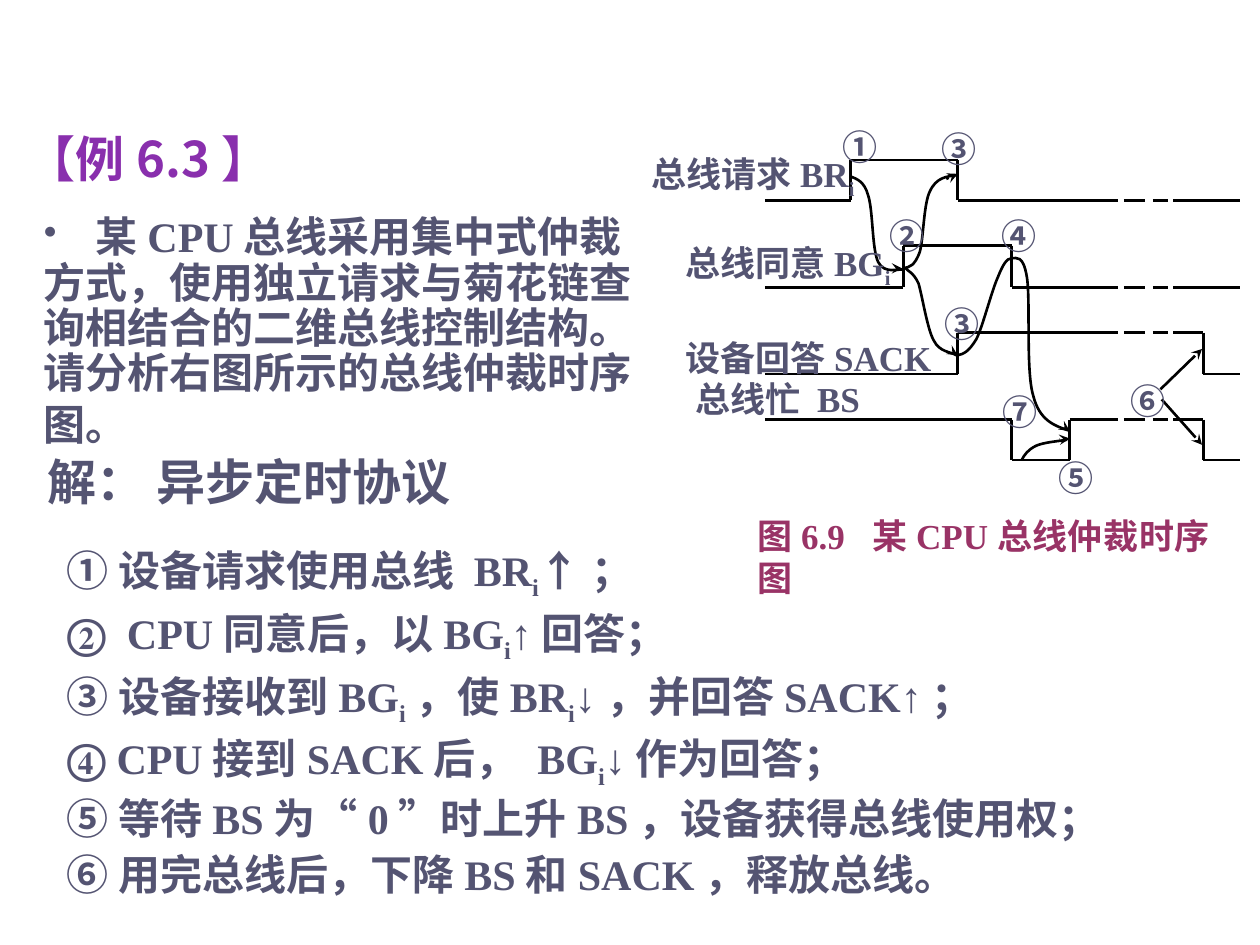
from lxml.etree import SubElement
from pptx import Presentation
from pptx.dml.color import RGBColor
from pptx.enum.dml import MSO_LINE_DASH_STYLE as Dash
from pptx.enum.shapes import MSO_CONNECTOR as Connector
from pptx.enum.text import MSO_ANCHOR as Anchor, MSO_AUTO_SIZE as AutoSize, PP_ALIGN as Align
from pptx.oxml.ns import qn
from pptx.util import Inches, Pt

INK = RGBColor(0x54, 0x54, 0x72)
PURPLE = RGBColor(0x89, 0x2F, 0xAD)
PLUM = RGBColor(0x99, 0x33, 0x66)
BLACK = RGBColor(0, 0, 0)
SANS, SERIF, LATIN = "Noto Sans CJK SC", "Times New Roman", "Cabin"

STEPS = [
    [("① 设备请求使用总线 ", SANS), ("BR_i", SERIF), ("↑；", SANS)],
    [("②  CPU同意后，以BG_i↑回答；", SERIF)],
    [("③ 设备接收到BG_i，使BR_i↓，并回答SACK↑；", SERIF)],
    [("④ CPU接到SACK后， BG_i↓作为回答；", SERIF)],
    [("⑤ 等待BS为“0”时上升BS，设备获得总线使用权；", SERIF)],
    [("⑥ 用完总线后，下降BS和SACK，释放总线。", SERIF)],
]
QUESTION = ("    某CPU总线采用集中式仲裁方式，使用独立请求与菊花链查询相结合的"
            "二维总线控制结构。请分析右图所示的总线仲裁时序图。")

# Each wave: first level, second level, edges before the break, edges after it.
WAVES = [
    (0.59, 0.27, [1.75, 2.6], []),
    (1.28, 0.95, [2.17, 3.03], []),
    (1.97, 1.64, [2.6], [4.55]),
    (2.33, 2.65, [3.03, 3.49], [4.55]),
]
START, PAUSE, DASH_START, DASH_END, RESUME, END = 1.07, 3.87, 3.92, 4.27, 4.31, 4.84
CURVES = [
    [(1.75, 0.4), (1.8, 0.42), (1.86, 0.44), (1.89, 0.55), (1.93, 0.67),
     (1.92, 0.98), (1.97, 1.08), (2.02, 1.18), (2.14, 1.13), (2.17, 1.14)],
    [(2.17, 1.13), (2.22, 1.12), (2.26, 1.11), (2.3, 1), (2.33, 0.9),
     (2.33, 0.62), (2.38, 0.52), (2.43, 0.41), (2.51, 0.4), (2.6, 0.39)],
    [(2.19, 1.13), (2.2, 1.15), (2.25, 1.16), (2.29, 1.25), (2.32, 1.35),
     (2.36, 1.61), (2.41, 1.7), (2.46, 1.8), (2.55, 1.79), (2.59, 1.82)],
    [(2.6, 1.82), (2.65, 1.81), (2.69, 1.79), (2.75, 1.69), (2.8, 1.59),
     (2.87, 1.31), (2.92, 1.2), (2.96, 1.1), (2.99, 1.05), (3.03, 1.05),
     (3.07, 1.05), (3.12, 1.02), (3.15, 1.2), (3.18, 1.39), (3.14, 1.94),
     (3.2, 2.14), (3.25, 2.34), (3.37, 2.38), (3.49, 2.42)],
    [(3.11, 2.65), (3.13, 2.61), (3.16, 2.57), (3.22, 2.54), (3.28, 2.51),
     (3.42, 2.5), (3.47, 2.49)],
]
ARROWS = [
    ((2.51, 0.42), (2.6, 0.38)), ((4.22, 2.17), (4.54, 2.53)),
    ((2.11, 1.13), (2.16, 1.13)), ((2.57, 1.8), (2.6, 1.82)),
    ((3.46, 2.4), (3.49, 2.42)), ((3.41, 2.49), (3.49, 2.48)),
    ((4.21, 2.09), (4.54, 1.77)),
]
SIGNALS = [("总线请求BR_i", 0.17, 0.21, 1.85), ("总线同意BG_i", 0.44, 0.92, 1.75),
           ("设备回答SACK", 0.44, 1.67, 3), ("总线忙 BS", 0.52, 2, 2)]
MARKS = [("①", 1.69, 0), ("③", 2.47, 0.01), ("②", 2.06, 0.7), ("④", 2.95, 0.7),
         ("③", 2.5, 1.4), ("⑦", 2.96, 2.1), ("⑥", 3.97, 2.01), ("⑤", 3.4, 2.62)]


def write(paragraph, runs, size, color=INK, **layout):
    """Fill a paragraph with (text, font) runs; an underscore lowers the next letter."""
    for name, value in layout.items():
        setattr(paragraph, name, value)
    for text, typeface in runs:
        first, *rest = text.split("_")
        pieces = [(first, False)]
        for part in rest:
            pieces += [(part[0], True), (part[1:], False)]
        for piece, lowered in pieces:
            if not piece:
                continue
            run = paragraph.add_run()
            run.text = piece
            for name, value in {"size": Pt(size), "bold": True, "name": typeface}.items():
                setattr(run.font, name, value)
            run.font.color.rgb = color
            properties = run.font._element
            SubElement(properties, qn("a:ea")).set("typeface", SANS)
            if lowered:
                properties.set("baseline", "-25000")


def place(shape, left, top, width, height):
    """Move and size a shape, in inches."""
    box = {"left": left, "top": top, "width": width, "height": height}
    for name, value in box.items():
        setattr(shape, name, Inches(value))


def add_text(slide, box, inset=True, wrap=True):
    """Add a text box and return its first paragraph."""
    frame = slide.shapes.add_textbox(*map(Inches, box)).text_frame
    frame.word_wrap = wrap
    if not inset:
        for side in ("left", "top", "right", "bottom"):
            setattr(frame, f"margin_{side}", 0)
    return frame.paragraphs[0]


def style_line(shape):
    """Give a line or curve its black stroke without a shadow."""
    shape.line.color.rgb = BLACK
    shape.line.width = Pt(1.5)
    SubElement(shape._element.spPr, qn("a:effectLst"))


def add_line(slide, begin, end):
    """Add a straight connector between two points."""
    points = map(Inches, (*begin, *end))
    line = slide.shapes.add_connector(Connector.STRAIGHT, *points)
    style_line(line)
    return line


def add_curve(slide, points):
    """Add an open curve through cubic Bezier control points."""
    start, *controls = [(Inches(x), Inches(y)) for x, y in points]
    builder = slide.shapes.build_freeform(*start)
    builder.add_line_segments(controls, close=False)
    curve = builder.convert_to_shape()
    outline = next(curve._element.iter(qn("a:path")))
    segments = outline.findall(qn("a:lnTo"))
    for index in range(0, len(segments), 3):
        bezier = SubElement(outline, qn("a:cubicBezTo"))
        for segment in segments[index:index + 3]:
            bezier.append(segment[0])
            outline.remove(segment)
    curve.fill.background()
    style_line(curve)


def add_wave(slide, left, top, first, second, early, late):
    """Draw one signal, switching levels at its edges, with a dashed break."""
    level, other = first, second
    for begin, edges, end in ((START, early, PAUSE), (RESUME, late, END)):
        for edge in edges:
            add_line(slide, (left + begin, top + level), (left + edge, top + level))
            add_line(slide, (left + edge, top + level), (left + edge, top + other))
            begin, level, other = edge, other, level
        add_line(slide, (left + begin, top + level), (left + end, top + level))
        if end == PAUSE:
            gap = add_line(slide, (left + DASH_START, top + level),
                           (left + DASH_END, top + level))
            gap.line.dash_style = Dash.LONG_DASH


def add_diagram(slide, left, top):
    """Draw the bus arbitration timing diagram with its labels and caption."""
    for wave in WAVES:
        add_wave(slide, left, top, *wave)
    for points in CURVES:
        add_curve(slide, [(left + x, top + y) for x, y in points])
    for (x1, y1), (x2, y2) in ARROWS:
        arrow = add_line(slide, (left + x1, top + y1), (left + x2, top + y2))
        SubElement(arrow.line._get_or_add_ln(), qn("a:tailEnd")).set("type", "stealth")
    labels = [(text, SERIF, x, y, width, INK) for text, x, y, width in SIGNALS]
    labels += [(text, SANS, x, y, 0.3, INK) for text, x, y in MARKS]
    labels.append(("图6.9  某CPU总线仲裁时序图", SERIF, 1.01, 3.08, 3.59, PLUM))
    for text, typeface, x, y, width, color in labels:
        paragraph = add_text(slide, (left + x, top + y, width, 0.3), inset=False)
        write(paragraph, [(text, typeface)], 20, color, alignment=Align.JUSTIFY)


def add_heading(slide, *box):
    """Place the example number in the title placeholder."""
    title = slide.shapes.title
    place(title, *box)
    title.text_frame.vertical_anchor = Anchor.BOTTOM
    paragraph = title.text_frame.paragraphs[0]
    write(paragraph, [("【例6.3】", SANS)], 28, PURPLE, alignment=Align.CENTER)
    write(paragraph, [(" ", LATIN)], 44, PURPLE)


def add_question(slide, *box):
    """Place the bulleted question."""
    paragraph = add_text(slide, box)
    write(paragraph, [(QUESTION, SERIF)], 24, line_spacing=0.9, space_before=Pt(5))
    write(paragraph, [(" ", LATIN)], 28)
    properties = paragraph._p.get_or_add_pPr()
    SubElement(properties, qn("a:buSzPct")).set("val", "90000")
    SubElement(properties, qn("a:buChar")).set("char", "•")


def add_answer(slide, *box):
    """Place the answer line."""
    write(add_text(slide, box, wrap=False), [("解： 异步定时协议", SANS)], 28,
          line_spacing=0.9, space_before=Pt(5))


def add_steps(slide, *box):
    """Place the numbered steps in the body placeholder."""
    body = slide.placeholders[1]
    place(body, *box)
    frame = body.text_frame
    frame.auto_size = AutoSize.NONE
    for index, runs in enumerate(STEPS):
        paragraph = frame.add_paragraph() if index else frame.paragraphs[0]
        write(paragraph, runs, 24, alignment=Align.JUSTIFY, line_spacing=0.95)
        properties = paragraph._p.get_or_add_pPr()
        properties.set("marL", str(Inches(0.38)))
        properties.set("indent", str(-Inches(0.38)))
        SubElement(properties, qn("a:buNone"))


def main():
    """Build and save the slide."""
    presentation = Presentation()
    presentation.slide_width, presentation.slide_height = Inches(10), Inches(7.5)
    slide = presentation.slides.add_slide(presentation.slide_layouts[1])
    add_heading(slide, 0, 0.92, 2.5, 0.66)
    add_steps(slide, 0.43, 4.27, 9.17, 3.23)
    add_diagram(slide, 5, 1)
    add_question(slide, 0.25, 1.67, 5, 1.96)
    add_answer(slide, 0.28, 3.59, 3.52, 0.52)
    presentation.save("out.pptx")


if __name__ == "__main__":
    main()
